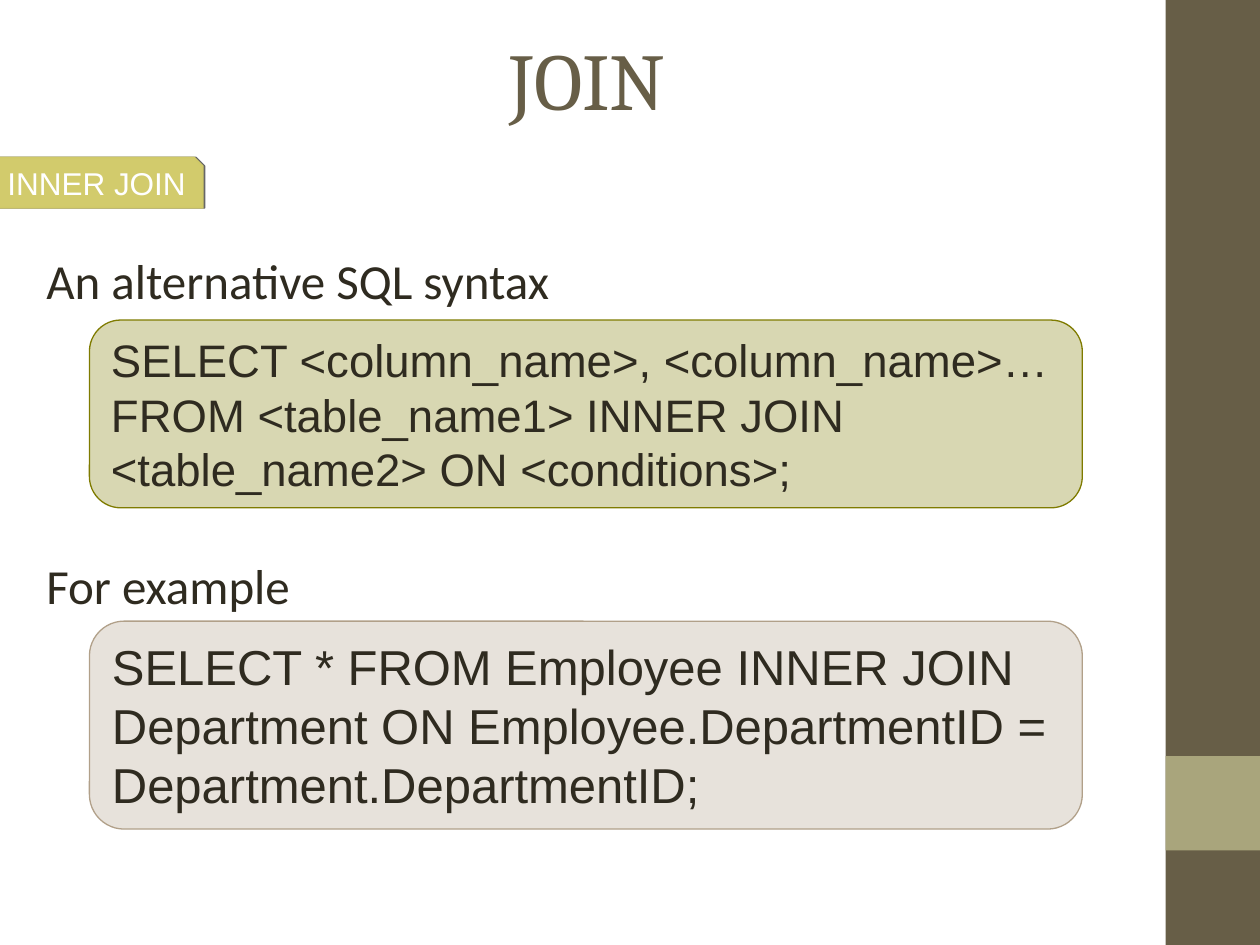
import lxml.etree
import pptx
import pptx.dml.color
import pptx.enum.shapes
import pptx.enum.text
import pptx.oxml.ns
import pptx.util

Inches = pptx.util.Inches
Shape = pptx.enum.shapes.MSO_SHAPE
Align = pptx.enum.text.PP_ALIGN
Anchor = pptx.enum.text.MSO_ANCHOR

COLORS = {
    "brown": "675E47",
    "sage": "A9A57C",
    "tag": "D2CB6C",
    "tag_edge": "D0C967",
    "syntax": "7F7B00",
    "example": "B1A089",
    "ink": "2F2B20",
    "white": "FFFFFF",
    "black": "000000",
}
TITLE = {"name": "Cambria", "size": 46, "color": "brown"}
TAG = {"name": "Arial", "size": 18, "color": "white"}
HEADING = {"name": "Calibri", "size": 28, "color": "ink"}
SYNTAX = {"name": "Arial", "size": 26, "color": "ink"}
EXAMPLE = {"name": "Arial", "size": 28, "color": "ink"}

CODE_LEFT, CODE_WIDTH = 0.71, 7.88


def rgb(color):
    return pptx.dml.color.RGBColor.from_string(COLORS[color])


def add_child(parent, tag, **attributes):
    return lxml.etree.SubElement(parent, pptx.oxml.ns.qn(tag), attributes)


def paint(shape, fill, line=None, line_width=0.75):
    shape.shadow.inherit = False
    shape.fill.solid()
    shape.fill.fore_color.rgb = rgb(fill)
    if line:
        shape.line.color.rgb = rgb(line)
        shape.line.width = pptx.util.Pt(line_width)
    else:
        shape.line.fill.background()


def write(shape, text, style, align=Align.LEFT, anchor=Anchor.MIDDLE):
    frame = shape.text_frame
    frame.word_wrap = True
    frame.vertical_anchor = anchor
    paragraph = frame.paragraphs[0]
    paragraph.alignment = align
    run = paragraph.add_run()
    run.text = text
    font_values = {"name": style["name"], "size": pptx.util.Pt(style["size"])}
    for attribute, value in font_values.items():
        setattr(run.font, attribute, value)
    run.font.color.rgb = rgb(style["color"])


def add_side_block(slide, top, height, color):
    block = slide.shapes.add_shape(
        Shape.RECTANGLE, Inches(9.25), Inches(top), Inches(0.75), Inches(height))
    paint(block, color)


def add_label(slide, box, text, style, **layout):
    label = slide.shapes.add_textbox(*map(Inches, box))
    write(label, text, style, **layout)


def add_tag(slide, text):
    """Add the clipped-corner tag with a thin hard shadow on its right."""
    left, top, right, bottom, clip = -0.04, 1.25, 1.61, 1.65, 0.07
    outline = [(right - clip, top), (right, top + clip), (right, bottom), (left, bottom)]
    builder = slide.shapes.build_freeform(Inches(left), Inches(top))
    builder.add_line_segments([(Inches(x), Inches(y)) for x, y in outline], close=True)
    tag = builder.convert_to_shape()
    paint(tag, "tag", "tag_edge", 1)
    effects = tag._element.spPr.find(pptx.oxml.ns.qn("a:effectLst"))
    shadow = add_child(effects, "a:outerShdw", blurRad="0",
                       dist=str(pptx.util.Pt(1)), dir="0", rotWithShape="0")
    shade = add_child(shadow, "a:srgbClr", val=COLORS["black"])
    add_child(shade, "a:alpha", val="60000")
    write(tag, text, TAG)


def add_code_panel(slide, top, height, color, text, style):
    panel = slide.shapes.add_shape(
        Shape.ROUNDED_RECTANGLE, Inches(CODE_LEFT), Inches(top),
        Inches(CODE_WIDTH), Inches(height))
    paint(panel, color, color)
    fill_color = panel._element.spPr.find(
        pptx.oxml.ns.qn("a:solidFill") + "/" + pptx.oxml.ns.qn("a:srgbClr"))
    add_child(fill_color, "a:alpha", val="30000")
    write(panel, text, style)


def main():
    deck = pptx.Presentation()
    deck.slide_width, deck.slide_height = Inches(10), Inches(7.5)
    slide = deck.slides.add_slide(deck.slide_layouts[6])

    add_side_block(slide, 0, 7.5, "brown")
    add_side_block(slide, 6, 0.75, "sage")
    add_label(slide, (0.5, 0, 8.33, 1.25), "JOIN", TITLE, align=Align.CENTER)
    add_tag(slide, "INNER JOIN")

    for top, heading in ((1.94, "An alternative SQL syntax"), (4.36, "For example")):
        add_label(slide, (0.27, top, 8.5, 0.57), heading, HEADING, anchor=Anchor.TOP)

    add_code_panel(
        slide, 2.54, 1.49, "syntax",
        "SELECT <column_name>, <column_name>… FROM <table_name1> "
        "INNER JOIN <table_name2> ON <conditions>;", SYNTAX)
    add_code_panel(
        slide, 4.93, 1.65, "example",
        "SELECT * FROM Employee INNER JOIN Department ON "
        "Employee.DepartmentID = Department.DepartmentID;", EXAMPLE)

    deck.save("out.pptx")


if __name__ == "__main__":
    main()
